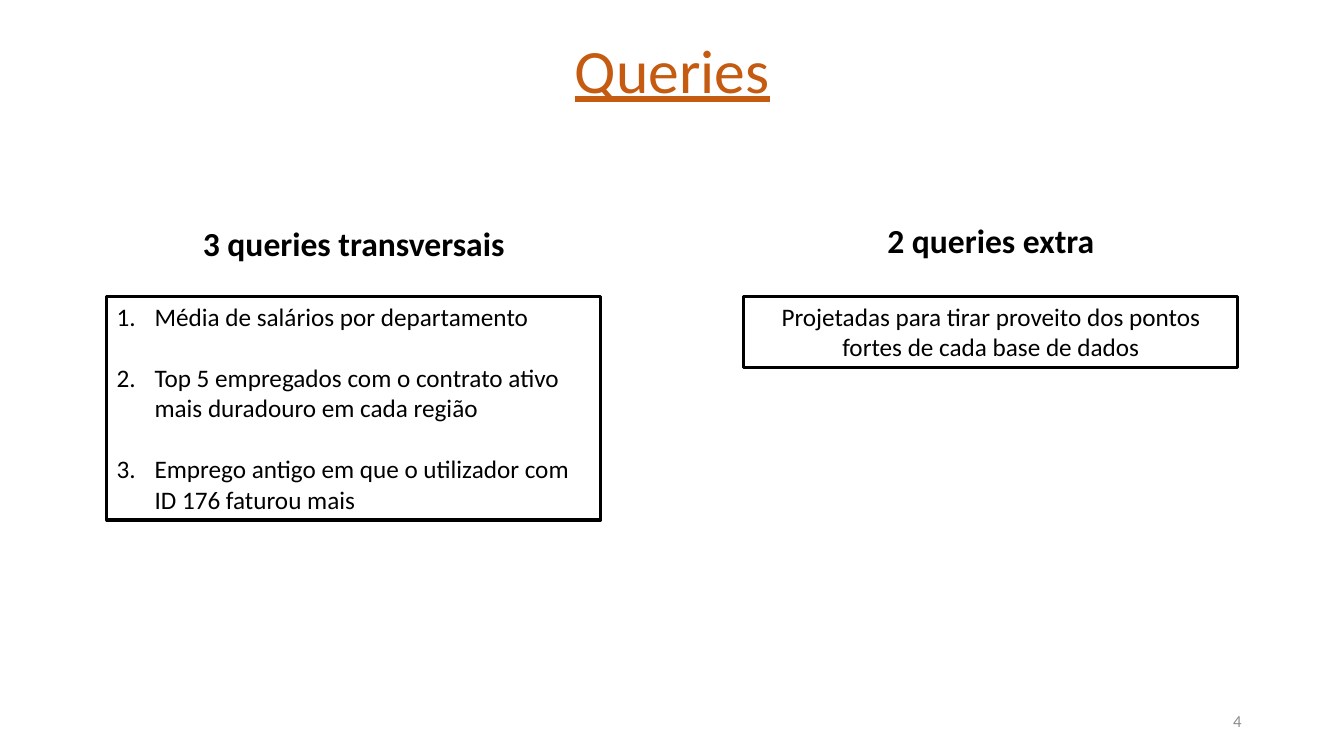
from lxml import etree
from pptx import Presentation
from pptx.dml.color import RGBColor
from pptx.enum.shapes import MSO_SHAPE
from pptx.enum.text import MSO_ANCHOR, PP_ALIGN
from pptx.oxml.ns import qn
from pptx.util import Pt

LEFT, CENTER, RIGHT = PP_ALIGN.LEFT, PP_ALIGN.CENTER, PP_ALIGN.RIGHT
TOP, MIDDLE = MSO_ANCHOR.TOP, MSO_ANCHOR.MIDDLE
RECTANGLE = MSO_SHAPE.RECTANGLE

FONT = "Calibri"
BLACK, ORANGE, GREY = "000000", "C55A11", "8C8C8C"
TITLE = "Queries"
PAGE_NUMBER = "4"
COLUMNS = [
    {
        "left": 76.3, "heading_top": 155.5, "height": 159.8, "numbered": True,
        "heading": "3 queries transversais",
        "lines": [
            "Média de salários por departamento",
            "Top 5 empregados com o contrato ativo mais duradouro em cada região",
            "Emprego antigo em que o utilizador com ID 176 faturou mais",
        ],
    },
    {
        "left": 531.4, "heading_top": 153.4, "height": 51, "numbered": False,
        "heading": "2 queries extra",
        "lines": ["Projetadas para tirar proveito dos pontos fortes de cada base de dados"],
    },
]
BOX_TOP, BOX_WIDTH = 211.7, 352.8
HEADING_WIDTH, HEADING_HEIGHT = 240.5, 36.4
NUMBER_INDENT, ITEM_GAP = 27, 22


def color(hex_string):
    """Turn a hex string into a colour."""
    return RGBColor.from_string(hex_string)


def write(shape, lines, size, ink=BLACK, align=CENTER, anchor=TOP, bold=False, underline=False):
    """Fill a shape with formatted paragraphs."""
    frame = shape.text_frame
    frame.word_wrap = True
    frame.vertical_anchor = anchor
    frame.text = "\n".join(lines)
    for para in frame.paragraphs:
        para.alignment = align
        for span in para.runs:
            font = span.font
            font.name, font.size, font.bold, font.underline = FONT, Pt(size), bold, underline
            font.color.rgb = color(ink)
    return frame


def add_label(page, place, text, size, **style):
    """Add a text box holding one line."""
    box = page.shapes.add_textbox(*map(Pt, place))
    return write(box, [text], size, **style)


def number_items(frame):
    """Number the paragraphs and space them one line apart."""
    for index, para in enumerate(frame.paragraphs):
        para.space_before = Pt(ITEM_GAP if index else 0)
        properties = para._p.get_or_add_pPr()
        properties.set("marL", str(Pt(NUMBER_INDENT)))
        properties.set("indent", str(-Pt(NUMBER_INDENT)))
        etree.SubElement(properties, qn("a:buFont"), typeface="+mj-lt")
        etree.SubElement(properties, qn("a:buAutoNum"), type="arabicPeriod")


def add_column(page, column):
    """Add a heading centred over its outlined box."""
    heading_left = column["left"] + (BOX_WIDTH - HEADING_WIDTH) / 2
    place = (heading_left, column["heading_top"], HEADING_WIDTH, HEADING_HEIGHT)
    add_label(page, place, column["heading"], 24, bold=True)

    place = (column["left"], BOX_TOP, BOX_WIDTH, column["height"])
    box = page.shapes.add_shape(RECTANGLE, *map(Pt, place))
    box.shadow.inherit = False
    box.fill.background()
    box.line.color.rgb = color(BLACK)
    box.line.width = Pt(2.25)
    frame = write(box, column["lines"], 18, align=LEFT if column["numbered"] else CENTER)
    if column["numbered"]:
        number_items(frame)


def main():
    """Build the slide and save it."""
    deck = Presentation()
    deck.slide_width, deck.slide_height = Pt(960), Pt(540)
    page = deck.slides.add_slide(deck.slide_layouts[6])
    title = add_label(page, (296.6, 0, 367.2, 104.4), TITLE, 44,
                      ink=ORANGE, anchor=MIDDLE, underline=True)
    title.paragraphs[0].line_spacing = 0.9
    add_label(page, (678, 500.5, 216, 28.8), PAGE_NUMBER, 12,
              ink=GREY, align=RIGHT, anchor=MIDDLE)
    for column in COLUMNS:
        add_column(page, column)
    deck.save("out.pptx")


if __name__ == "__main__":
    main()
